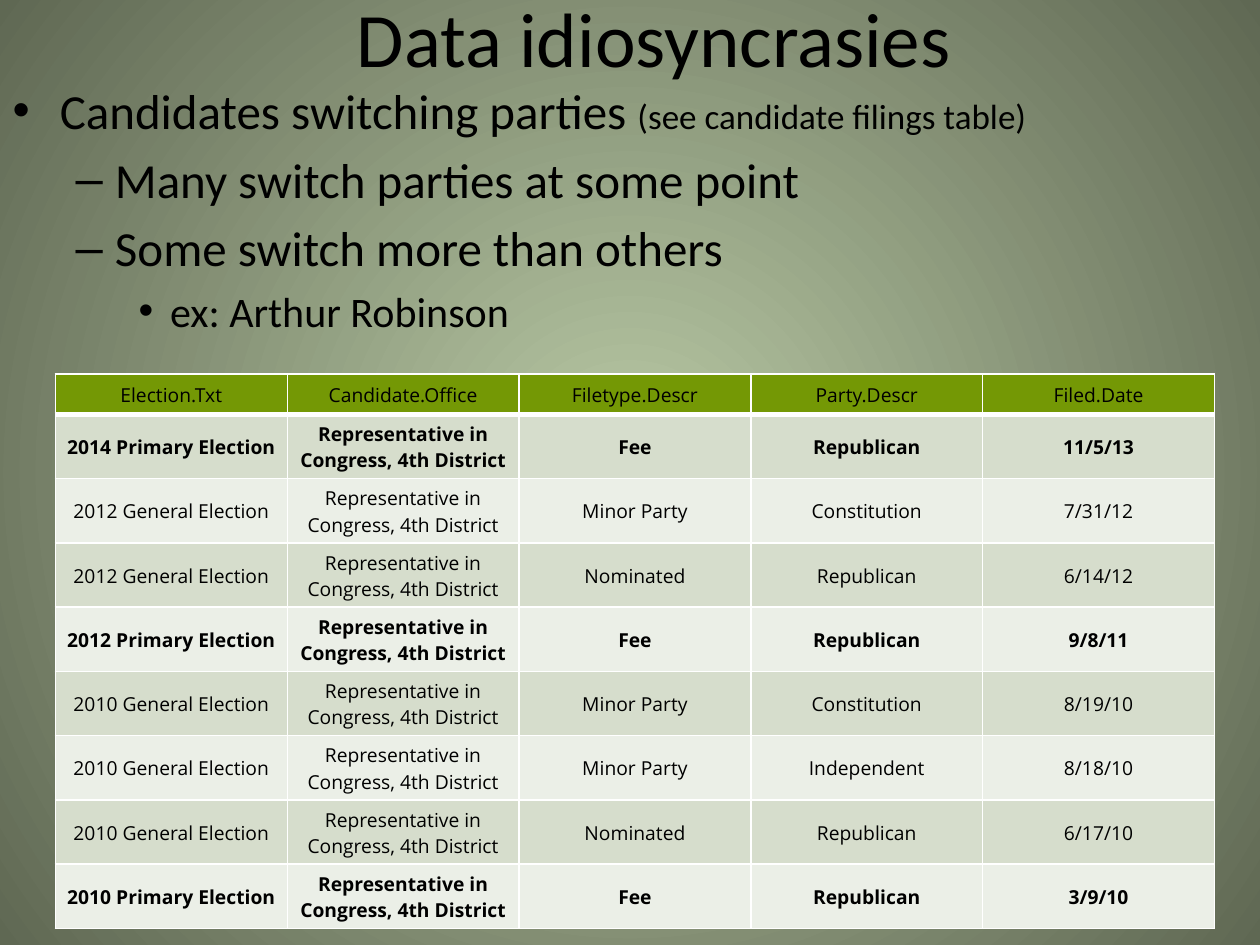
from typing import NamedTuple

from lxml import etree
from pptx import Presentation
from pptx.dml.color import RGBColor
from pptx.enum.text import MSO_ANCHOR, MSO_AUTO_SIZE, PP_ALIGN
from pptx.oxml.ns import qn
from pptx.util import Inches, Pt

CENTER = PP_ALIGN.CENTER
MIDDLE = MSO_ANCHOR.MIDDLE
NO_AUTOFIT = MSO_AUTO_SIZE.NONE

BLACK = RGBColor(0x00, 0x00, 0x00)
WHITE = RGBColor(0xFF, 0xFF, 0xFF)
HEADER_GREEN = RGBColor(0x74, 0x98, 0x05)
BAND_DARK = RGBColor(0xD6, 0xDD, 0xCC)
BAND_LIGHT = RGBColor(0xEB, 0xEF, 0xE7)
CENTER_GREEN = RGBColor(0xB9, 0xC9, 0xA5)
EDGE_GREEN = RGBColor(0x5F, 0x68, 0x53)

TEXT_FONT = "Calibri"
TABLE_FONT = "Open Sans"
OFFICE = "Representative in Congress, 4th District"


class Run(NamedTuple):
    text: str
    size: int


class Bullet(NamedTuple):
    level: int
    runs: list[Run]


class Filing(NamedTuple):
    election: str
    filetype: str
    party: str
    date: str

    def values(self) -> list[str]:
        return [self.election, OFFICE, self.filetype, self.party, self.date]


BULLETS = [
    Bullet(0, [Run("Candidates switching parties ", 28),
               Run("(see candidate filings table)", 20)]),
    Bullet(1, [Run("Many switch parties at some point", 28)]),
    Bullet(1, [Run("Some switch more than others", 28)]),
    Bullet(2, [Run("ex: Arthur Robinson", 24)]),
]
HEADERS = ["Election.Txt", "Candidate.Office", "Filetype.Descr", "Party.Descr", "Filed.Date"]
FILINGS = [
    Filing("2014 Primary Election", "Fee", "Republican", "11/5/13"),
    Filing("2012 General Election", "Minor Party", "Constitution", "7/31/12"),
    Filing("2012 General Election", "Nominated", "Republican", "6/14/12"),
    Filing("2012 Primary Election", "Fee", "Republican", "9/8/11"),
    Filing("2010 General Election", "Minor Party", "Constitution", "8/19/10"),
    Filing("2010 General Election", "Minor Party", "Independent", "8/18/10"),
    Filing("2010 General Election", "Nominated", "Republican", "6/17/10"),
    Filing("2010 Primary Election", "Fee", "Republican", "3/9/10"),
]


def place(shape, left: float, top: float, width: float, height: float) -> None:
    shape.left, shape.top = Inches(left), Inches(top)
    shape.width, shape.height = Inches(width), Inches(height)


def format_run(run, font: str, size: int, bold: bool = False) -> None:
    run.font.name = font
    run.font.size = Pt(size)
    run.font.bold = bold
    run.font.color.rgb = BLACK


def paint_background(slide) -> None:
    fill = slide.background.fill
    fill.gradient()
    for stop, color in zip(fill.gradient_stops, (CENTER_GREEN, EDGE_GREEN)):
        stop.color.rgb = color
    # Circular gradient around the slide centre
    gradient = slide.element.find(".//" + qn("a:gradFill"))
    gradient.remove(gradient.find(qn("a:lin")))
    circle = etree.SubElement(gradient, qn("a:path"), path="circle")
    etree.SubElement(circle, qn("a:fillToRect"), l="50000", t="50000", r="50000", b="50000")


def add_borders(cell, top: float, bottom: float) -> None:
    properties = cell._tc.get_or_add_tcPr()
    for side, width in (("L", 1), ("R", 1), ("T", top), ("B", bottom)):
        line = etree.SubElement(properties, qn(f"a:ln{side}"), w=str(Pt(width)))
        solid = etree.SubElement(line, qn("a:solidFill"))
        etree.SubElement(solid, qn("a:srgbClr"), val=str(WHITE))


def fill_row(table, row: int, values: list[str], color: RGBColor, bold: bool) -> None:
    for column, value in enumerate(values):
        cell = table.cell(row, column)
        add_borders(cell, top=3 if row == 1 else 1, bottom=3 if row == 0 else 1)
        cell.fill.solid()
        cell.fill.fore_color.rgb = color
        cell.vertical_anchor = MIDDLE
        cell.margin_left = cell.margin_right = cell.margin_top = Inches(0.01)
        cell.margin_bottom = Inches(0)
        paragraph = cell.text_frame.paragraphs[0]
        paragraph.text = value
        paragraph.alignment = CENTER
        format_run(paragraph.runs[0], TABLE_FONT, 11, bold)


def add_filings_table(slide) -> None:
    frame = slide.shapes.add_table(len(FILINGS) + 1, len(HEADERS), Inches(0.44),
                                   Inches(2.97), Inches(9.2), Inches(4.4))
    table = frame.table
    for column in table.columns:
        column.width = Inches(1.84)
    for index, row in enumerate(table.rows):
        row.height = Inches(0.51 if index else 0.32)
    fill_row(table, 0, HEADERS, HEADER_GREEN, bold=False)
    for index, filing in enumerate(FILINGS, start=1):
        band = BAND_DARK if index % 2 else BAND_LIGHT
        fill_row(table, index, filing.values(), band, bold="Primary" in filing.election)


def write_title(title) -> None:
    place(title, 0.69, -0.15, 9, 0.88)
    title.text_frame.text = "Data idiosyncrasies"
    title.text_frame.auto_size = NO_AUTOFIT
    title.text_frame.vertical_anchor = MIDDLE
    paragraph = title.text_frame.paragraphs[0]
    paragraph.alignment = CENTER
    format_run(paragraph.runs[0], TEXT_FONT, 44)


def write_bullets(body) -> None:
    place(body, 0, 0.59, 10, 4.95)
    text_frame = body.text_frame
    text_frame.auto_size = NO_AUTOFIT
    for index, bullet in enumerate(BULLETS):
        paragraph = text_frame.add_paragraph() if index else text_frame.paragraphs[0]
        paragraph.level = bullet.level
        for part in bullet.runs:
            run = paragraph.add_run()
            run.text = part.text
            format_run(run, TEXT_FONT, part.size)


presentation = Presentation()
presentation.slide_width, presentation.slide_height = Inches(10), Inches(7.5)

# Title and content layout: its body supplies the bullets and indents
slide = presentation.slides.add_slide(presentation.slide_layouts[1])
paint_background(slide)
write_title(slide.shapes.title)
write_bullets(slide.placeholders[1])
add_filings_table(slide)

presentation.save("out.pptx")
